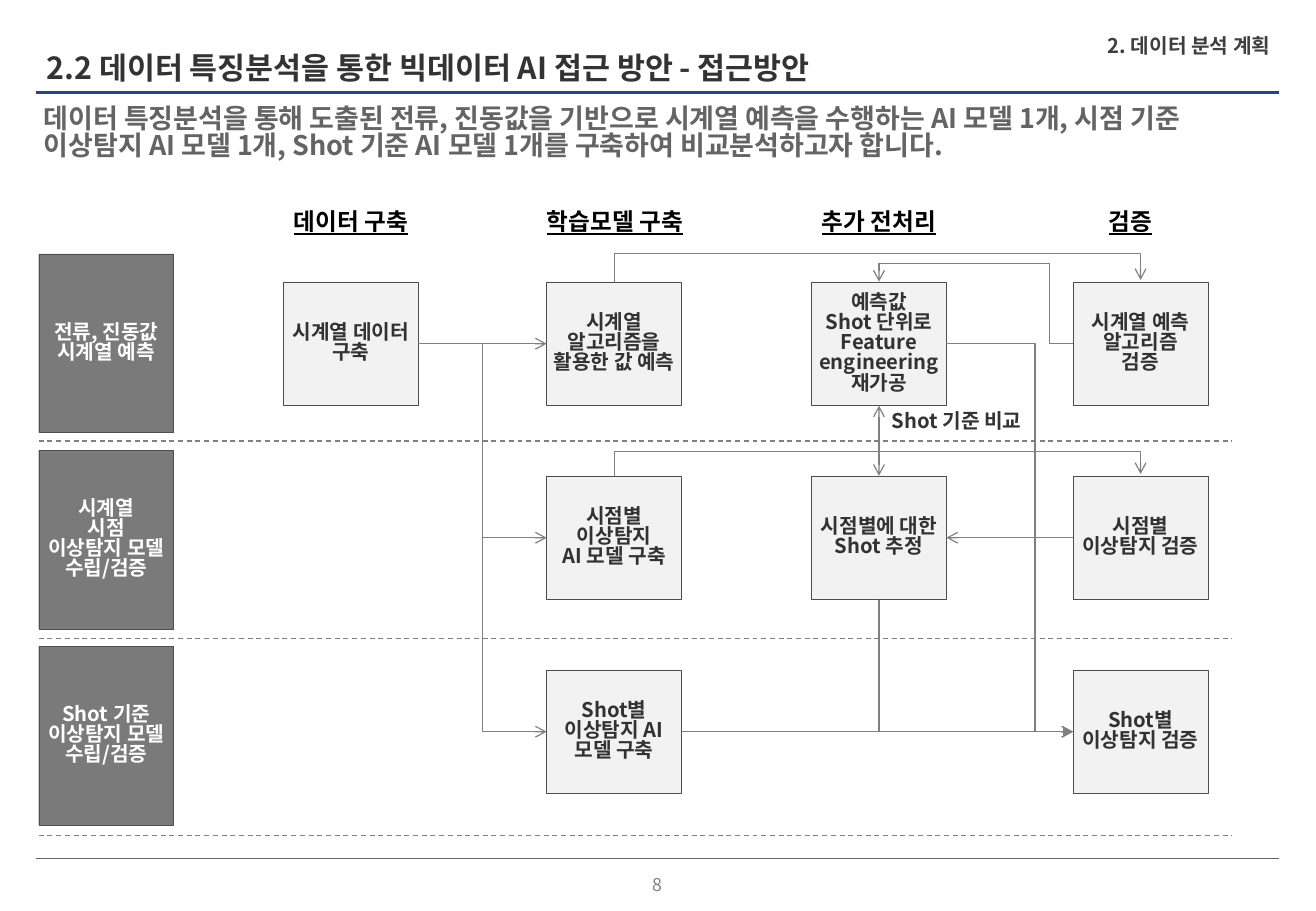
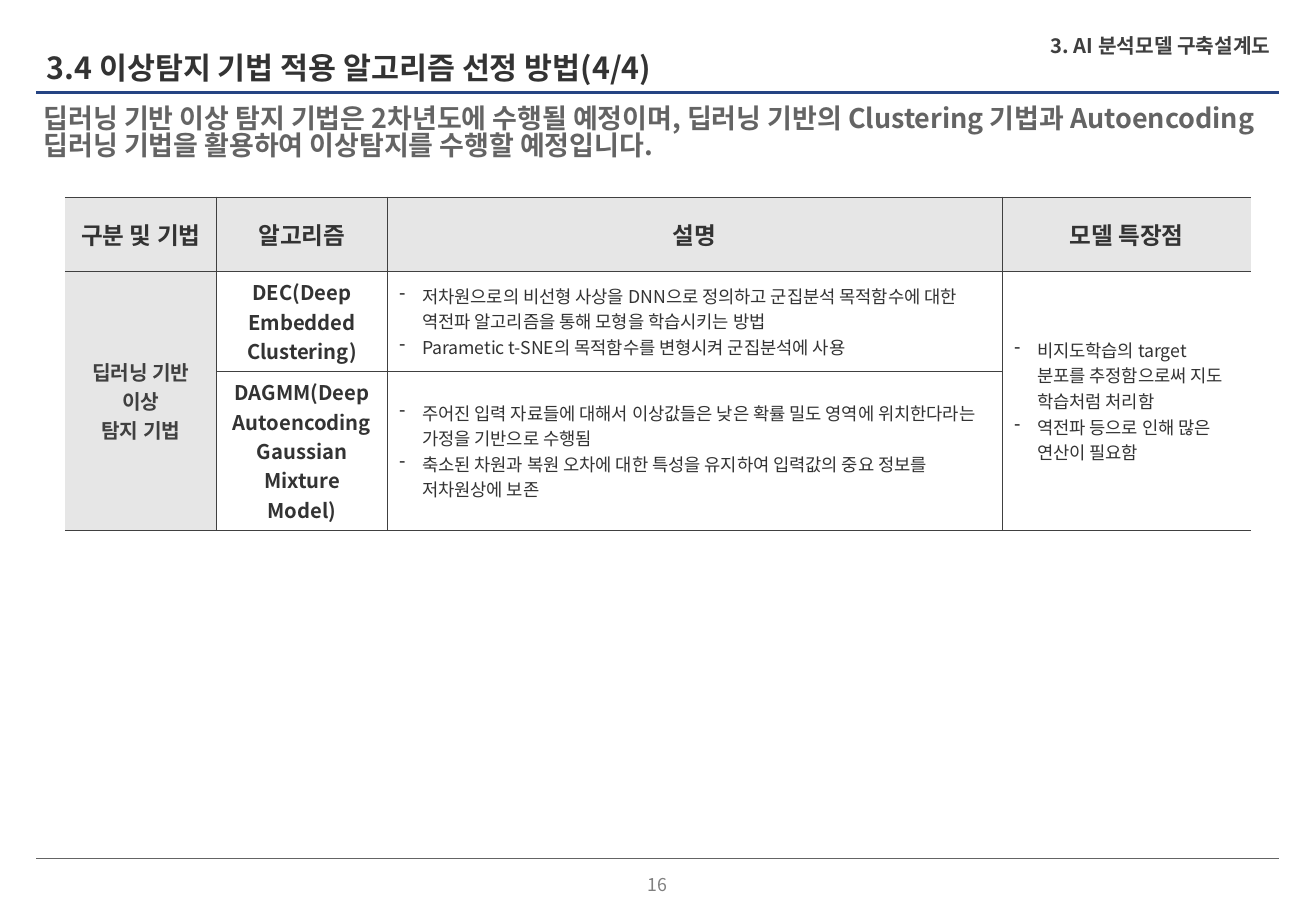
from pptx import Presentation
from pptx.dml.color import RGBColor
from pptx.enum.dml import MSO_LINE
from pptx.enum.shapes import MSO_CONNECTOR as Link, MSO_SHAPE
from pptx.enum.text import MSO_ANCHOR as Anchor, PP_ALIGN as Align
from pptx.oxml.ns import qn
from pptx.util import Pt
from lxml.etree import SubElement, Element

TOP, LEFT, BOTTOM, RIGHT = range(4)


def rgb(code):
    """Turn a hex string into a colour."""
    return RGBColor.from_string(code)


def side(box, index):
    """Return the middle of one side of a box, in points."""
    x, y, w, h = (v.pt for v in (box.left, box.top, box.width, box.height))
    return [(x + w / 2, y), (x, y + h / 2), (x + w / 2, y + h), (x + w, y + h / 2)][index]


class Deck:
    """Hold the shared style and the current slide."""

    FONT = "Noto Sans CJK KR"
    INK, GREY, RULE = "333333", "646464", "808080"
    BOX_FILL, BAR_FILL, BOX_LINE = "F2F2F2", "7A7A7A", "4D4D4D"
    HEAD_FILL, GRID = "E6E6E6", "404040"
    TIGHT = 0.83

    def __init__(self):
        """Start an empty presentation."""
        self.prs = Presentation()
        self.prs.slide_width, self.prs.slide_height = Pt(780), Pt(540)

    def style(self, frame, size, color, bold=True, align=Align.LEFT, spacing=TIGHT, underline=None):
        """Format every paragraph and run of a text frame."""
        for para in frame.paragraphs:
            para.alignment, para.line_spacing = align, spacing
            for run in para.runs:
                font = run.font
                font.size, font.bold, font.underline = Pt(size), bold, underline
                font.color.rgb = rgb(color)
                font.name = self.FONT
                SubElement(font._element, qn("a:ea"), typeface=self.FONT)

    def frame(self, shape, words, margins, anchor, wrap=True):
        """Fill a shape's text frame and set its insets."""
        frame = shape.text_frame
        frame.text = words
        frame.word_wrap, frame.vertical_anchor = wrap, anchor
        (frame.margin_left, frame.margin_top,
         frame.margin_right, frame.margin_bottom) = map(Pt, margins)
        return frame

    def label(self, words, at, size, color, margins=(0, 0, 0, 0), wrap=True, **look):
        """Add a text box."""
        holder = self.slide.shapes.add_textbox(*map(Pt, at))
        self.style(self.frame(holder, words, margins, Anchor.TOP, wrap), size, color, **look)

    def page(self, title, lead, chapter, number):
        """Add a slide with its title, lead, chapter, rules and number."""
        self.slide = self.prs.slides.add_slide(self.prs.slide_layouts[5])
        heading = self.slide.shapes.title
        heading.left, heading.top, heading.width, heading.height = map(Pt, (21.6, 21.6, 737, 33))
        self.style(self.frame(heading, title, (6, 3, 6, 4), Anchor.BOTTOM), 18, self.INK)
        self.line((21.6, 54.7), (758, 54.7), "254483", 1.5)
        self.line((21.6, 509), (758, 509), self.GREY, 0.25)
        self.label(lead, (20, 60.5, 737, 45), 16, self.GREY, (6, 3, 6, 3))
        self.label(chapter, (582, 22, 171, 18), 12, "3F3F3F", align=Align.RIGHT)
        self.label(number, (359, 518, 61, 13), 10.5, self.RULE, bold=False,
                   align=Align.CENTER, spacing=1)

    def box(self, words, x, y, height=73.5, fill=BOX_FILL, color="323232"):
        """Add a bordered box with centred text."""
        box = self.slide.shapes.add_shape(MSO_SHAPE.RECTANGLE, Pt(x), Pt(y), Pt(80), Pt(height))
        box.shadow.inherit = False
        box.fill.solid()
        box.fill.fore_color.rgb = rgb(fill)
        box.line.color.rgb, box.line.width = rgb(self.BOX_LINE), Pt(0.25)
        frame = self.frame(box, words, (3, 3.6, 3, 3.6), Anchor.MIDDLE, False)
        self.style(frame, 12, color, align=Align.CENTER)
        return box

    def line(self, start, end, color=RULE, width=0.75, kind=Link.STRAIGHT, dash=None, **ends):
        """Add a connector, with arrowheads given as headEnd or tailEnd."""
        line = self.slide.shapes.add_connector(kind, *map(Pt, (*start, *end)))
        line.line.color.rgb, line.line.width = rgb(color), Pt(width)
        if dash:
            line.line.dash_style = dash
        props = line._element.spPr
        for tag in ("headEnd", "tailEnd"):
            if tag in ends:
                SubElement(props.find(qn("a:ln")), qn("a:" + tag), type=ends[tag])
        SubElement(props, qn("a:effectLst"))
        return line

    def arrow(self, source, source_side, target, target_side, **ends):
        """Join two boxes with a straight arrow."""
        line = self.line(side(source, source_side), side(target, target_side),
                         tailEnd="arrow", **ends)
        line.begin_connect(source, source_side)
        line.end_connect(target, target_side)

    def elbow(self, start, end, *bends, preset="bentConnector3", upright=False, tip="arrow"):
        """Add a bent arrow; an upright one leaves its start vertically."""
        if upright:
            (x1, y1), (x2, y2) = start, end
            dx, dy, cx, cy = (x2 - x1) / 2, (y2 - y1) / 2, (x1 + x2) / 2, (y1 + y2) / 2
            start, end = (cx - dy, cy + dx), (cx + dy, cy - dx)
        props = self.line(start, end, kind=Link.ELBOW, tailEnd=tip)._element.spPr
        if upright:
            props.find(qn("a:xfrm")).set("rot", "5400000")
        shape = props.find(qn("a:prstGeom"))
        shape.set("prst", preset)
        for index, bend in enumerate(bends, 1):
            SubElement(shape.find(qn("a:avLst")), qn("a:gd"), name=f"adj{index}",
                       fmla=f"val {round(bend * 100000)}")

    def cell(self, cell, words, size, color, fill, bold=True, bullets=False, open_sides=()):
        """Fill one table cell and draw its borders."""
        cell.text, cell.vertical_anchor = words, Anchor.MIDDLE
        if bullets:
            for para in cell.text_frame.paragraphs:
                props = para._p.get_or_add_pPr()
                props.set("marL", str(Pt(13.5)))
                props.set("indent", str(Pt(-13.5)))
                SubElement(props, qn("a:buChar"), char="-")
        self.style(cell.text_frame, size, color, bold,
                   Align.LEFT if bullets else Align.CENTER, 1)
        cell.fill.solid()
        cell.fill.fore_color.rgb = rgb(fill)
        for index, edge in enumerate("LRTB"):
            border = Element(qn("a:ln" + edge), w=str(Pt(0.5)))
            if edge in open_sides:
                SubElement(border, qn("a:noFill"))
            else:
                paint = SubElement(border, qn("a:solidFill"))
                SubElement(paint, qn("a:srgbClr"), val=self.GRID)
            cell._tc.get_or_add_tcPr().insert(index, border)

    def table(self, rows, at, widths, heights, merged_columns):
        """Add a table with a shaded head row and first column."""
        size = (sum(widths), sum(heights))
        table = self.slide.shapes.add_table(len(rows), len(widths), *map(Pt, (*at, *size))).table
        table.first_row = table.horz_banding = False
        for column, width in zip(table.columns, widths):
            column.width = Pt(width)
        for row, height in zip(table.rows, heights):
            row.height = Pt(height)
        for column in merged_columns:
            table.cell(1, column).merge(table.cell(len(rows) - 1, column))
        last = len(widths) - 1
        for r, row in enumerate(rows):
            for c, words in enumerate(row):
                bullets = r > 0 and c > 1
                self.cell(table.cell(r, c), words,
                          14 if r == 0 else 10.5 if bullets else 12,
                          self.GRID if r and c == 0 else self.INK,
                          self.HEAD_FILL if r == 0 or c == 0 else "FFFFFF",
                          not bullets, bullets, {0: "L", last: "R"}.get(c, ""))


def approach(deck):
    """Build the approach flow."""
    deck.page("2.2 데이터 특징분석을 통한 빅데이터 AI 접근 방안 - 접근방안",
              "데이터 특징분석을 통해 도출된 전류, 진동값을 기반으로 시계열 예측을 수행하는 AI 모델 1개, "
              "시점 기준 이상탐지 AI 모델 1개, Shot 기준 AI 모델 1개를 구축하여 비교분석하고자 합니다.",
              "2. 데이터 분석 계획", "8")
    stages = [("데이터 구축", 208), ("학습모델 구축", 364.5), ("추가 전처리", 521), ("검증", 670)]
    for stage, center in stages:
        deck.label(stage, (center - 48, 122.4, 96, 23), 14, "000000", (3, 3, 3, 3), False,
                   align=Align.CENTER, underline=True)
    tracks = ["전류, 진동값\v시계열 예측", "시계열\v시점\v이상탐지 모델\v수립/검증",
              "Shot 기준\v이상탐지 모델\v수립/검증"]
    for index, track in enumerate(tracks):
        deck.box(track, 23, 150.5 + 116.3 * index, 106, deck.BAR_FILL, "FFFFFF")
        y = 261.4 + 117 * index
        deck.line((23, y), (730, y), dash=MSO_LINE.DASH)

    columns, rows = (168, 324, 481, 636), (167, 282, 397)
    steps = {
        (0, 0): "시계열 데이터\v구축",
        (0, 1): "시계열\v알고리즘을\v활용한 값 예측",
        (0, 2): "예측값\vShot 단위로\vFeature\vengineering\v재가공",
        (0, 3): "시계열 예측\v알고리즘\v검증",
        (1, 1): "시점별\v이상탐지\vAI 모델 구축",
        (1, 2): "시점별에 대한\vShot 추정",
        (1, 3): "시점별\v이상탐지 검증",
        (2, 1): "Shot별\v이상탐지 AI\v모델 구축",
        (2, 3): "Shot별\v이상탐지 검증",
    }
    step = {(r, c): deck.box(words, columns[c], rows[r]) for (r, c), words in steps.items()}
    data, feature, estimate, shot_check = step[0, 0], step[0, 2], step[1, 2], step[2, 3]

    deck.arrow(data, RIGHT, step[0, 1], LEFT)
    deck.arrow(step[2, 1], RIGHT, shot_check, LEFT)
    deck.arrow(step[1, 3], LEFT, estimate, RIGHT)
    deck.arrow(estimate, TOP, feature, BOTTOM, headEnd="arrow")
    for row in (1, 2):
        deck.elbow(side(data, RIGHT), side(step[row, 1], LEFT), 0.5)
    for row, rise in ((0, 17), (1, 14.5)):
        x, y = side(step[row, 3], TOP)
        deck.elbow(side(step[row, 1], TOP), (x, y - 1), rise, upright=True)
    deck.elbow(side(feature, RIGHT), side(shot_check, LEFT), 0.7)
    deck.elbow(side(estimate, BOTTOM), side(shot_check, LEFT), preset="bentConnector2",
               upright=True, tip="triangle")
    deck.elbow(side(step[0, 3], LEFT), side(feature, TOP), 0.12, 1.29, preset="bentConnector4")
    deck.label("Shot 기준 비교", (528.5, 241.2, 91, 15), 12, deck.INK, (0, 3, 0, 0))


def algorithms(deck):
    """Build the table of algorithms."""
    deck.page("3.4 이상탐지 기법 적용 알고리즘 선정 방법(4/4)",
              "딥러닝 기반 이상 탐지 기법은 2차년도에 수행될 예정이며, 딥러닝 기반의 Clustering 기법과 "
              "Autoencoding 딥러닝 기법을 활용하여 이상탐지를 수행할 예정입니다.",
              "3. AI 분석모델 구축설계도", "16")
    rows = [
        ("구분 및 기법", "알고리즘", "설명", "모델 특장점"),
        ("딥러닝 기반 이상\n탐지 기법", "DEC(Deep Embedded Clustering)",
         "저차원으로의 비선형 사상을 DNN으로 정의하고 군집분석 목적함수에 대한 역전파 알고리즘을 통해 "
         "모형을 학습시키는 방법\nParametic t-SNE의 목적함수를 변형시켜 군집분석에 사용",
         "비지도학습의 target 분포를 추정함으로써 지도 학습처럼 처리함\n역전파 등으로 인해 많은 연산이 필요함"),
        ("", "DAGMM(Deep Autoencoding Gaussian Mixture Model)",
         "주어진 입력 자료들에 대해서 이상값들은 낮은 확률 밀도 영역에 위치한다라는 가정을 기반으로 수행됨\n"
         "축소된 차원과 복원 오차에 대한 특성을 유지하여 입력값의 중요 정보를 저차원상에 보존", ""),
    ]
    deck.table(rows, (38.5, 116.8), (90, 101, 364.5, 147.5), (44, 59.3, 94.3), (0, 3))


def main():
    """Build and save the slides."""
    deck = Deck()
    approach(deck)
    algorithms(deck)
    deck.prs.save("out.pptx")


if __name__ == "__main__":
    main()
